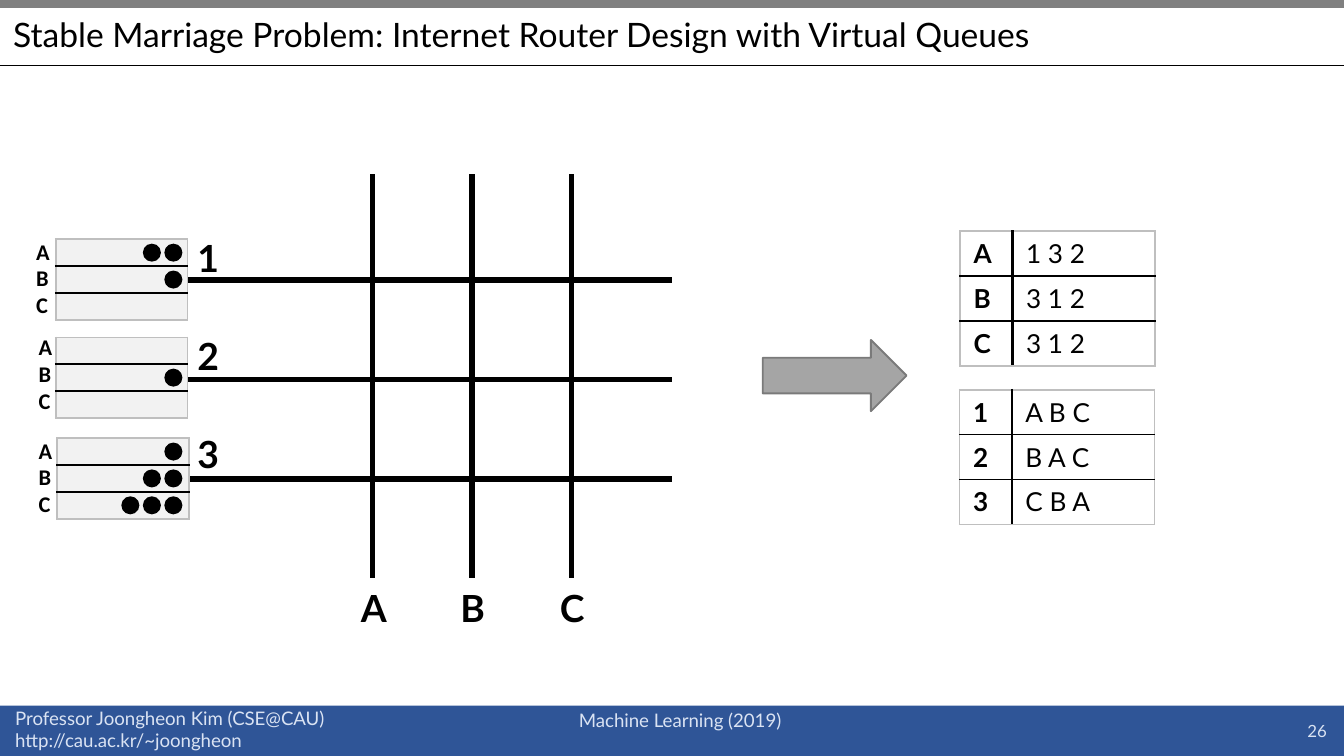
from dataclasses import dataclass

from lxml import etree
from pptx import Presentation
from pptx.dml.color import RGBColor
from pptx.enum.shapes import MSO_CONNECTOR, MSO_SHAPE
from pptx.enum.text import MSO_ANCHOR, PP_ALIGN
from pptx.oxml.ns import qn
from pptx.util import Inches, Pt

LEFT, CENTER, RIGHT = PP_ALIGN.LEFT, PP_ALIGN.CENTER, PP_ALIGN.RIGHT
TOP, MIDDLE = MSO_ANCHOR.TOP, MSO_ANCHOR.MIDDLE
RECT, DOT, ARROW = MSO_SHAPE.RECTANGLE, MSO_SHAPE.OVAL, MSO_SHAPE.RIGHT_ARROW
STRAIGHT = MSO_CONNECTOR.STRAIGHT

# The slide (16:9) is a grid of 100 columns by 56.25 rows of square units
COLUMNS, ROWS = 100, 56.25
UNIT = Inches(10) / COLUMNS

COLORS = {
    "ink": "000000", "band": "2F5597", "band_text": "DAE3F3", "bar": "808080",
    "queue": "F2F2F2", "frame": "BFBFBF", "arrow": "A5A5A5", "arrow_edge": "7A7A7A",
}


@dataclass(frozen=True)
class Box:
    left: float
    top: float
    width: float
    height: float

    def emu(self) -> list[int]:
        return [grid(v) for v in (self.left, self.top, self.width, self.height)]


@dataclass(frozen=True)
class InputPort:
    number: str
    queue_left: float
    queue_top: float
    label_left: float
    label_top: float
    waiting: tuple[int, int, int]  # packets queued for A, B, C


@dataclass(frozen=True)
class Preferences:
    left: float
    top: float
    ranking: dict[str, str]


OUTPUTS = "ABC"
PORTS = [
    InputPort("1", 4.15, 17.8, 1.7, 17.2, (2, 1, 0)),
    InputPort("2", 4.15, 25.1, 1.9, 24.3, (0, 1, 0)),
    InputPort("3", 4.25, 32.6, 1.9, 32, (1, 2, 3)),
]
PREFERENCES = [
    Preferences(71.45, 17.2, {"A": "1 3 2", "B": "3 1 2", "C": "3 1 2"}),
    Preferences(71.4, 29, {"1": "A B C", "2": "B A C", "3": "C B A"}),
]
LANE_GAP = 7.4
FIRST_INPUT, FIRST_OUTPUT = 20.83, 27.72
QUEUE_ROW, QUEUE_WIDTH = 2, 9.8
DOT_SIZE, DOT_GAP, FIRST_DOT = 1.2, 1.6, 12.3


def grid(units: float) -> int:
    return round(units * UNIT)


def rgb(name: str) -> RGBColor:
    return RGBColor.from_string(COLORS[name])


def write(frame, text: str, *, size: float, font: str = "Lato", color: str = "ink",
          bold: bool = False, align=LEFT, spacing: float = 1.0) -> None:
    for i, line in enumerate(text.split("\n")):
        paragraph = frame.add_paragraph() if i else frame.paragraphs[0]
        paragraph.alignment = align
        paragraph.line_spacing = spacing
        run = paragraph.add_run()
        run.text = line
        run.font.name, run.font.size, run.font.bold = font, Pt(size), bold
        run.font.color.rgb = rgb(color)


def add_label(slide, box: Box, text: str, *, wrap: bool = False, anchor=TOP, **style) -> None:
    frame = slide.shapes.add_textbox(*box.emu()).text_frame
    frame.word_wrap = wrap
    frame.vertical_anchor = anchor
    write(frame, text, **style)


def add_solid(slide, kind, box: Box, fill: str, edge: str | None = None) -> None:
    shape = slide.shapes.add_shape(kind, *box.emu())
    shape.shadow.inherit = False
    shape.fill.solid()
    shape.fill.fore_color.rgb = rgb(fill)
    if edge:
        shape.line.color.rgb = rgb(edge)
        shape.line.width = Pt(1)
    else:
        shape.line.fill.background()


def add_line(slide, x1: float, y1: float, x2: float, y2: float, weight: float) -> None:
    line = slide.shapes.add_connector(STRAIGHT, grid(x1), grid(y1), grid(x2), grid(y2))
    line.line.color.rgb = rgb("ink")
    line.line.width = Pt(weight)
    etree.SubElement(line._element.spPr, qn("a:effectLst"))


def set_borders(cell, borders: dict[str, tuple[str, float]]) -> None:
    properties = cell._tc.get_or_add_tcPr()
    for i, (side, (color, weight)) in enumerate(borders.items()):
        edge = etree.Element(qn(f"a:ln{side}"), w=str(Pt(weight)))
        fill = etree.SubElement(edge, qn("a:solidFill"))
        etree.SubElement(fill, qn("a:srgbClr"), val=COLORS[color])
        properties.insert(i, edge)


def add_grid_table(slide, left: float, top: float, widths: list[float], row_height: float,
                   fill: str | None = None):
    count = len(OUTPUTS)
    box = Box(left, top, sum(widths), row_height * count)
    table = slide.shapes.add_table(count, len(widths), *box.emu()).table
    table.first_row = table.horz_banding = False
    frame, rule, divider = ("frame", 1), ("ink", 1), ("ink", 1.5)
    for c, width in enumerate(widths):
        table.columns[c].width = grid(width)
        for r in range(count):
            table.rows[r].height = grid(row_height)
            cell = table.cell(r, c)
            if fill:
                cell.fill.solid()
                cell.fill.fore_color.rgb = rgb(fill)
            else:
                cell.fill.background()
            set_borders(cell, {
                "L": divider if c else frame,
                "R": divider if c < len(widths) - 1 else frame,
                "T": rule if r else frame,
                "B": rule if r < count - 1 else frame,
            })
    return table


def add_queue(slide, port: InputPort) -> None:
    table = add_grid_table(slide, port.queue_left, port.queue_top, [QUEUE_WIDTH],
                           QUEUE_ROW, "queue")
    # Small type keeps the empty rows at their height
    for cell in table.iter_cells():
        cell.margin_top = cell.margin_bottom = 0
        etree.SubElement(cell.text_frame.paragraphs[0]._p, qn("a:endParaRPr"), sz="800")
    for r, packets in enumerate(port.waiting):
        for p in range(packets):
            add_solid(slide, DOT, Box(FIRST_DOT - p * DOT_GAP,
                                      port.queue_top + 0.4 + r * QUEUE_ROW,
                                      DOT_SIZE, DOT_SIZE), "ink", "ink")
    add_label(slide, Box(port.label_left, port.label_top, 3, 7.3), "\n".join(OUTPUTS),
              size=12, font="Calibri", bold=True)


def add_preferences(slide, preferences: Preferences) -> None:
    table = add_grid_table(slide, preferences.left, preferences.top, [3.9, 10.6], 3.33)
    for r, (chooser, ranking) in enumerate(preferences.ranking.items()):
        write(table.cell(r, 0).text_frame, chooser, size=14, bold=True)
        write(table.cell(r, 1).text_frame, ranking, size=14)


def main() -> None:
    deck = Presentation()
    deck.slide_width, deck.slide_height = grid(COLUMNS), grid(ROWS)
    slide = deck.slides.add_slide(deck.slide_layouts[6])

    # Header and footer
    add_solid(slide, RECT, Box(0, 52.5, COLUMNS, ROWS - 52.5), "band")
    add_solid(slide, RECT, Box(0, 0, COLUMNS, 0.55), "bar", "bar")
    add_line(slide, 0, 4.9, COLUMNS, 4.9, 0.5)
    add_label(slide, Box(0.15, 52.1, 26.2, 4.4),
              "Professor Joongheon Kim (CSE@CAU)\nhttp://cau.ac.kr/~joongheon",
              size=10, color="band_text")
    add_label(slide, Box(41.85, 52.25, 17.5, 2.7), "Machine Learning (2019)",
              size=10, color="band_text", align=CENTER)
    add_label(slide, Box(0, 0.6, 87.5, 4.3),
              "Stable Marriage Problem: Internet Router Design with Virtual Queues",
              wrap=True, anchor=MIDDLE, size=18, spacing=0.9)
    add_label(slide, Box(77.2, 52.85, 22.5, 3), "26", wrap=True, anchor=MIDDLE,
              size=9, color="band_text", align=RIGHT)

    # Crossbar: input lanes across, output lanes down
    for i in range(len(PORTS)):
        y = FIRST_INPUT + i * LANE_GAP
        add_line(slide, 10.6, y, 50, y, 3)
    for i, output in enumerate(OUTPUTS):
        x = FIRST_OUTPUT + i * LANE_GAP
        add_line(slide, x, 43, x, 12.95, 3)
        add_label(slide, Box(x - 1.85, 43.05, 3.9, 4.4), output, size=20, bold=True)

    # Virtual queues at each input
    for i, port in enumerate(PORTS):
        add_queue(slide, port)
        add_label(slide, Box(13.7, 17 + i * 7.3, 3.8, 4.4), port.number, size=20, bold=True)

    # Resulting preference lists
    add_solid(slide, ARROW, Box(56.75, 25.3, 10.7, 5.3), "arrow", "arrow_edge")
    for preferences in PREFERENCES:
        add_preferences(slide, preferences)

    deck.save("out.pptx")


if __name__ == "__main__":
    main()
